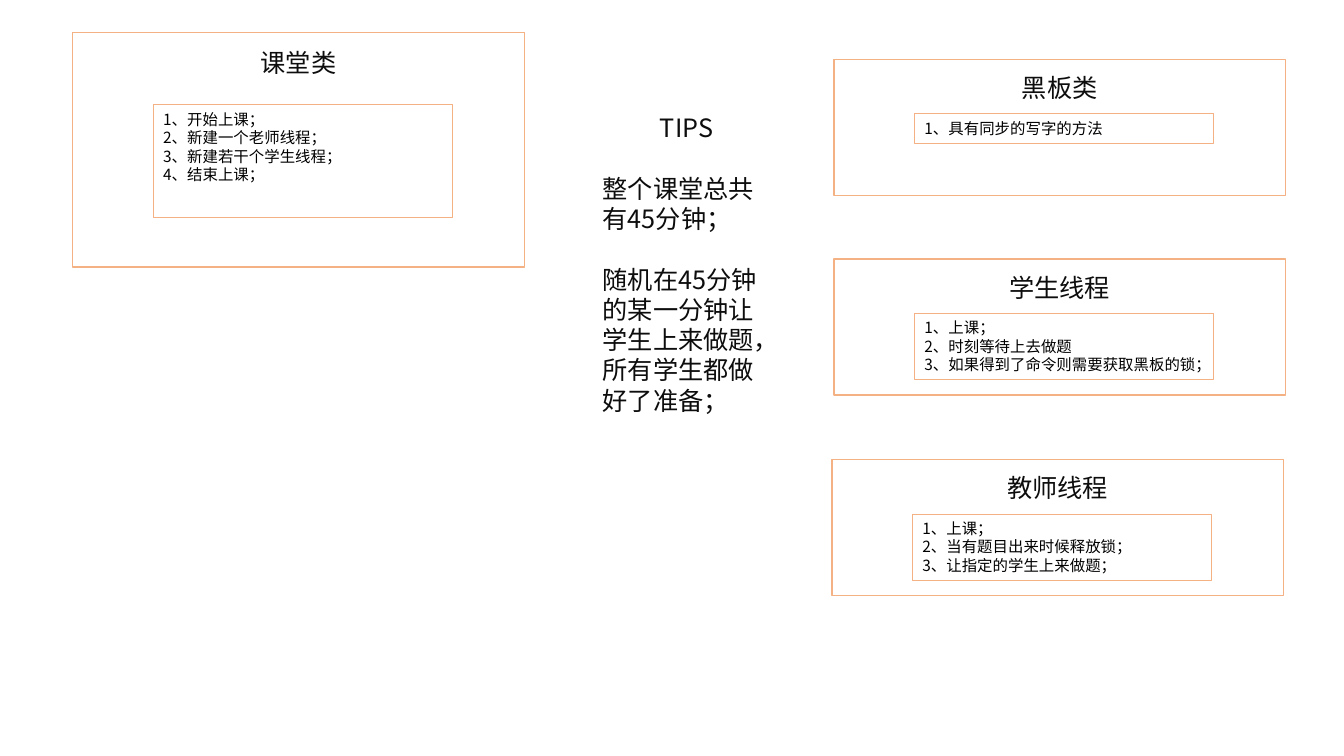
import pptx
import pptx.util
import pptx.dml.color
import pptx.enum.shapes
import pptx.enum.text
import pptx.oxml.ns
import lxml.etree

# Content: title, steps, card (left, top, height), title (offset, height), steps (offset, height)
CARDS = [
    ("学生线程", ["1、上课；", "2、时刻等待上去做题", "3、如果得到了命令则需要获取黑板的锁；"],
     (8.27, 2.57, 1.35), (0.08, 0.4), (0.54, 0.66)),
    ("教师线程", ["1、上课；", "2、当有题目出来时候释放锁；", "3、让指定的学生上来做题；"],
     (8.25, 4.56, 1.35), (0.08, 0.4), (0.54, 0.66)),
    ("课堂类", ["1、开始上课；", "2、新建一个老师线程；", "3、新建若干个学生线程；", "4、结束上课；"],
     (0.72, 0.32, 2.33), (0.1, 0.54), (0.72, 1.12)),
    ("黑板类", ["1、具有同步的写字的方法"],
     (8.27, 0.59, 1.35), (0.08, 0.4), (0.54, 0.29)),
]
TIPS_TITLE = "TIPS"
TIPS = ["整个课堂总共有45分钟；", "随机在45分钟的某一分钟让学生上来做题，所有学生都做好了准备；"]

# Style
ORANGE = pptx.dml.color.RGBColor(0xF4, 0xB1, 0x83)
DARK = pptx.dml.color.RGBColor(0x0D, 0x0D, 0x0D)
BLACK = pptx.dml.color.RGBColor(0, 0, 0)
FONT = "Noto Sans CJK SC"
LINE_HEIGHT = 1.2
CARD_W, STEPS_W, TITLE_W = 4.48, 2.97, 1.86
Pt = pptx.util.Pt
LEFT, CENTER = pptx.enum.text.PP_ALIGN.LEFT, pptx.enum.text.PP_ALIGN.CENTER


def inches(*lengths):
    return [pptx.util.Inches(v) for v in lengths]


def write(sp, lines, size, color, align=LEFT, gap=0):
    tf = sp.text_frame
    tf.word_wrap = True
    tf.vertical_anchor = pptx.enum.text.MSO_ANCHOR.TOP
    for i, line in enumerate(lines):
        p = tf.paragraphs[0] if i == 0 else tf.add_paragraph()
        p.alignment = align
        p.line_spacing = Pt(size * LINE_HEIGHT)
        p.space_before = Pt(gap if i else 0)
        r = p.add_run()
        r.text = line
        r.font.size, r.font.name, r.font.color.rgb = Pt(size), FONT, color
        ea = lxml.etree.SubElement(r.font._element, pptx.oxml.ns.qn("a:ea"))
        ea.set("typeface", FONT)
    return tf


def outline(shapes, at, width):
    sp = shapes.add_shape(pptx.enum.shapes.MSO_SHAPE.RECTANGLE, *inches(*at))
    sp.shadow.inherit = False
    sp.fill.background()
    sp.line.color.rgb, sp.line.width = ORANGE, Pt(width)
    return sp


prs = pptx.Presentation()
prs.slide_width, prs.slide_height = inches(13.33, 7.5)
s = prs.slides.add_slide(prs.slide_layouts[6])

# Tips column: one empty line's height between paragraphs
tips = s.shapes.add_textbox(*inches(5.88, 1.07, TITLE_W, 4.04))
tf = write(tips, [TIPS_TITLE] + TIPS, 18, DARK, gap=18 * LINE_HEIGHT)
tf.paragraphs[0].alignment = CENTER

# Cards: steps box, frame and title grouped, each centred in the frame
for title, steps, (x, y, h), (title_dy, title_h), (steps_dy, steps_h) in CARDS:
    shapes = s.shapes.add_group_shape().shapes
    steps_x = x + 0.8
    box = outline(shapes, (steps_x, y + steps_dy, STEPS_W, steps_h), 0.75)
    write(box, steps, 11, BLACK)
    outline(shapes, (x, y, CARD_W, h), 1)
    title_x = x + (CARD_W - TITLE_W) / 2
    head = shapes.add_textbox(*inches(title_x, y + title_dy, TITLE_W, title_h))
    write(head, [title], 18, DARK, CENTER)

prs.save("out.pptx")
